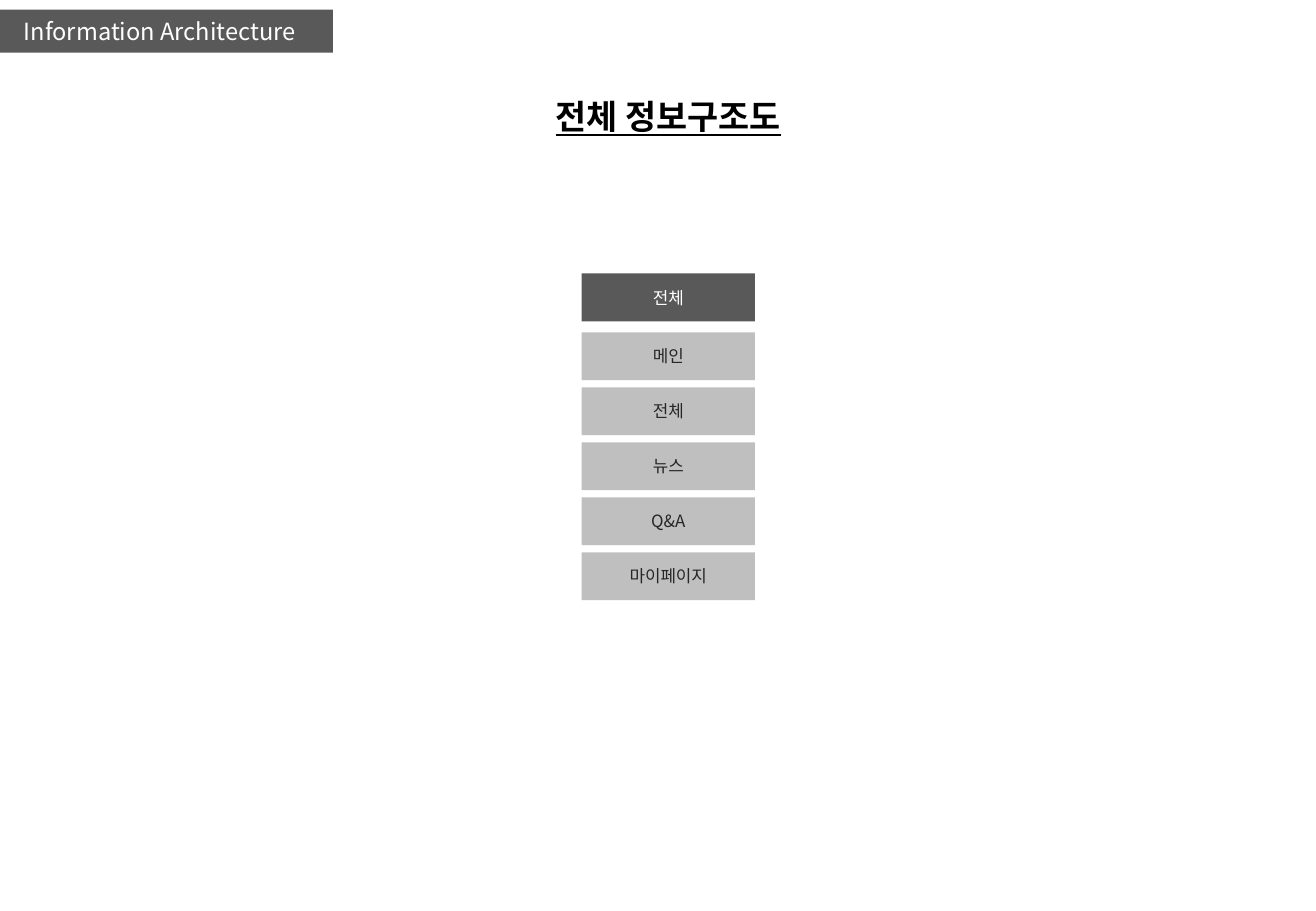
from lxml.etree import SubElement
from pptx import Presentation
from pptx.dml.color import RGBColor
from pptx.enum.shapes import MSO_SHAPE
from pptx.enum.text import MSO_ANCHOR, MSO_AUTO_SIZE, PP_ALIGN
from pptx.oxml.ns import qn
from pptx.util import Cm, Pt

FONT = "Noto Sans CJK KR"
DARK, LIGHT, INK, WHITE = "595959", "BFBFBF", "262626", "FFFFFF"
MENU = ["메인", "전체", "뉴스", "Q&A", "마이페이지"]


def color(value):
    """Return the colour for a hex string."""
    return RGBColor.from_string(value)


def write(frame, text, size, ink, align=PP_ALIGN.CENTER):
    """Fill a text frame with one styled paragraph and return its font."""
    frame.word_wrap = True
    para = frame.paragraphs[0]
    para.text = text
    para.alignment = align
    font = para.font
    font.name = FONT
    font.size = Pt(size)
    font.color.rgb = color(ink)
    properties = para._p.pPr.find(qn("a:defRPr"))
    SubElement(properties, qn("a:ea")).set("typeface", FONT)
    return font


def add_block(page, left, top, width, height, fill):
    """Add a flat rectangle, measured in centimetres."""
    box = page.shapes.add_shape(
        MSO_SHAPE.RECTANGLE, Cm(left), Cm(top), Cm(width), Cm(height))
    box.shadow.inherit = False
    box.fill.solid()
    box.fill.fore_color.rgb = color(fill)
    box.line.fill.background()
    box.text_frame.vertical_anchor = MSO_ANCHOR.MIDDLE
    return box


def add_banner(page, left, top, width, height):
    """Add the section banner."""
    frame = add_block(page, left, top, width, height, DARK).text_frame
    frame.margin_left = Cm(0.5)
    write(frame, "Information Architecture", 14, WHITE, PP_ALIGN.LEFT)


def place_title(page, left, top, width, height):
    """Move and format the title placeholder."""
    title = page.shapes.title
    title.left, title.top = Cm(left), Cm(top)
    title.width, title.height = Cm(width), Cm(height)
    frame = title.text_frame
    frame.auto_size = MSO_AUTO_SIZE.NONE
    frame.vertical_anchor = MSO_ANCHOR.TOP
    font = write(frame, "전체 정보구조도", 20, "000000")
    font.bold = True
    font.underline = True


def add_menu(page, left, top, width, height):
    """Stack the root block and its menu entries from the given corner."""
    root = add_block(page, left, top, width, height, DARK)
    write(root.text_frame, "전체", 10, WHITE)
    first, pitch = top + height + 0.23, height + 0.15
    for index, label in enumerate(MENU):
        entry = add_block(page, left, first + index * pitch, width, height, LIGHT)
        write(entry.text_frame, label, 10, INK)


def main():
    """Build and save the deck."""
    deck = Presentation()
    deck.slide_width, deck.slide_height = Cm(27.51), Cm(19.05)
    page = deck.slides.add_slide(deck.slide_layouts.get_by_name("Title Only"))
    add_banner(page, 0, 0.2, 6.96, 0.9)
    place_title(page, 7.75, 1.88, 12.45, 1.12)
    add_menu(page, 12.16, 5.72, 3.62, 1)
    deck.save("out.pptx")


if __name__ == "__main__":
    main()
